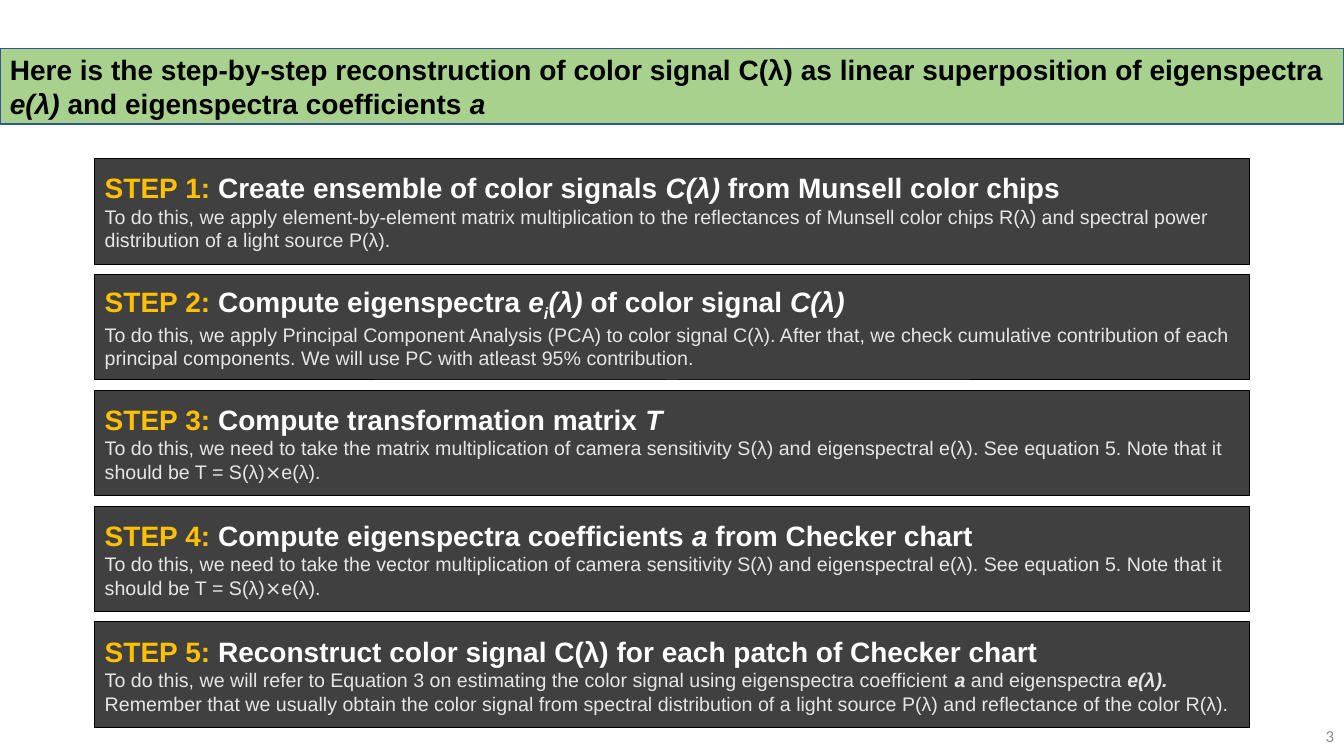
from pptx import Presentation
from pptx import util as u
from pptx.dml.color import RGBColor
from pptx.enum import shapes, text

STEPS = [
    ("Create ensemble of color signals *C(λ)* from Munsell color chips",
     "To do this, we apply element-by-element matrix multiplication to the reflectances of "
     "Munsell color chips R(λ) and spectral power distribution of a light source P(λ)."),
    ("Compute eigenspectra *e|i|(λ)* of color signal *C(λ)*",
     "To do this, we apply Principal Component Analysis (PCA) to color signal C(λ). After that, "
     "we check cumulative contribution of each principal components. We will use PC with "
     "atleast 95% contribution."),
    ("Compute transformation matrix *T*",
     "To do this, we need to take the matrix multiplication of camera sensitivity S(λ) and "
     "eigenspectral e(λ). See equation 5. Note that it should be T = S(λ)⨯e(λ)."),
    ("Compute eigenspectra coefficients *a* from Checker chart",
     "To do this, we need to take the vector multiplication of camera sensitivity S(λ) and "
     "eigenspectral e(λ). See equation 5. Note that it should be T = S(λ)⨯e(λ)."),
    ("Reconstruct color signal C(λ) for each patch of Checker chart",
     "To do this, we will refer to Equation 3 on estimating the color signal using eigenspectra "
     "coefficient *a* and eigenspectra *e(λ).* Remember that we usually obtain the color signal "
     "from spectral distribution of a light source P(λ) and reflectance of the color R(λ)."),
]


def rgb(value):
    return RGBColor.from_string(value)


def add_marked(p, marked, size, color, bold):
    for i, part in enumerate(marked.split("*")):
        for j, piece in enumerate(part.split("|")):
            if not piece:
                continue
            r = p.add_run()
            r.text = piece
            r.font.name = "Arial"
            r.font.size = u.Pt(size)
            r.font.color.rgb = rgb(color)
            r.font.italic = i % 2 == 1
            r.font.bold = bold or i % 2 == 1
            if j % 2:
                r.font._element.set("baseline", "-25000")


def add_panel(s, left, top, width, height, fill, line, weight):
    sp = s.shapes.add_shape(shapes.MSO_SHAPE.RECTANGLE, *map(u.Inches, (left, top, width, height)))
    sp.shadow.inherit = False
    sp.fill.solid()
    sp.fill.fore_color.rgb = rgb(fill)
    sp.line.color.rgb = rgb(line)
    sp.line.width = u.Pt(weight)
    tf = sp.text_frame
    tf.word_wrap = True
    tf.vertical_anchor = text.MSO_ANCHOR.MIDDLE
    p = tf.paragraphs[0]
    p.alignment = text.PP_ALIGN.LEFT
    return p


def add_banner(s, left, top, width, height):
    p = add_panel(s, left, top, width, height, "A9D18E", "325491", 1)
    add_marked(p, "Here is the step-by-step reconstruction of color signal C(λ) as linear "
                  "superposition of eigenspectra *e(λ)* and eigenspectra coefficients *a*",
               20, "000000", True)


def add_steps(s, left, top, width, height, gap):
    for i, (heading, detail) in enumerate(STEPS):
        p = add_panel(s, left, top + i * (height + gap), width, height, "404040", "000000", 0.75)
        add_marked(p, f"STEP {i + 1}: ", 20, "FFC000", True)
        add_marked(p, heading, 20, "FFFFFF", True)
        p.add_line_break()
        add_marked(p, detail, 14, "E7E6E6", False)


def add_page_number(s, left, top, width, height):
    tf = s.shapes.add_textbox(*map(u.Inches, (left, top, width, height))).text_frame
    tf.word_wrap = True
    tf.vertical_anchor = text.MSO_ANCHOR.MIDDLE
    p = tf.paragraphs[0]
    p.text = "3"
    p.alignment = text.PP_ALIGN.RIGHT
    p.font.name = "Calibri"
    p.font.size = u.Pt(12)
    p.font.color.rgb = rgb("8C8C8C")


def main():
    prs = Presentation()
    prs.slide_width, prs.slide_height = u.Inches(13.33), u.Inches(7.5)
    s = prs.slides.add_slide(prs.slide_layouts[6])
    add_steps(s, 0.94, 1.57, 11.45, 1.05, 0.1)
    add_banner(s, 0, 0.48, 13.33, 0.75)
    add_page_number(s, 10.33, 7.1, 3, 0.4)
    prs.save("out.pptx")


if __name__ == "__main__":
    main()
